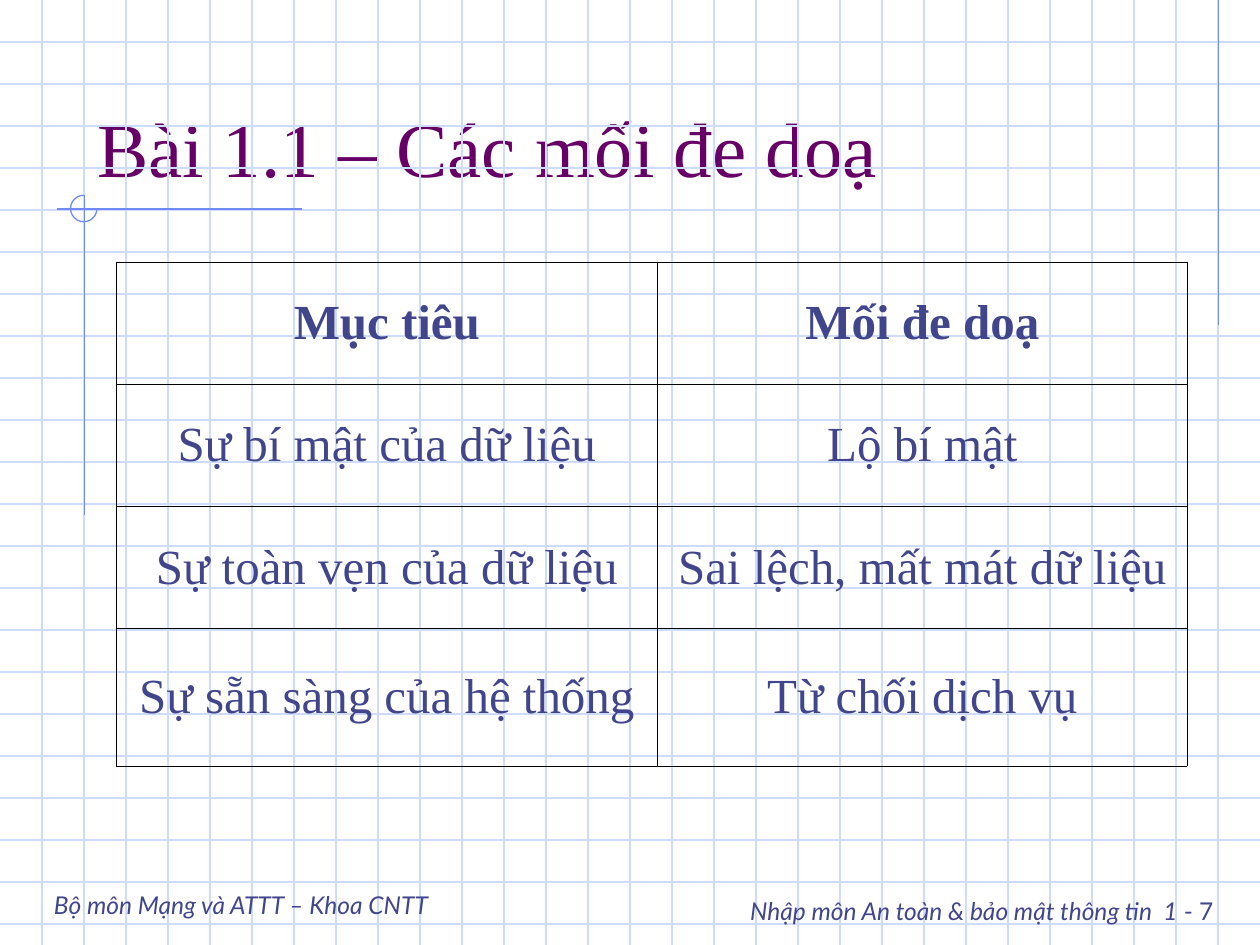
"""Builds the slide on threats to data: grid paper, title, table and footers."""
from lxml import etree
from pptx import Presentation
from pptx.dml.color import RGBColor
from pptx.enum.shapes import MSO_CONNECTOR, MSO_SHAPE
from pptx.enum.text import MSO_ANCHOR, PP_ALIGN
from pptx.oxml.ns import qn
from pptx.util import Inches, Pt

LINE, ARC = MSO_CONNECTOR.STRAIGHT, MSO_SHAPE.ARC
LEFT, MID, RIGHT = PP_ALIGN.LEFT, PP_ALIGN.CENTER, PP_ALIGN.RIGHT
TOP, CENTRE, BASE = MSO_ANCHOR.TOP, MSO_ANCHOR.MIDDLE, MSO_ANCHOR.BOTTOM
PALE = RGBColor(0xCF, 0xDB, 0xFD)
BLUE = RGBColor(0x6F, 0x89, 0xF7)
NAVY = RGBColor(0x40, 0x45, 0x8C)
PLUM = RGBColor(0x66, 0x00, 0x66)
BLACK = RGBColor(0, 0, 0)
HEAD = {"name": "Times New Roman", "size": Pt(44), "bold": False}
CELL = {"name": "Times New Roman", "size": Pt(28)}
FOOT = {"name": "Lato", "size": Pt(14), "italic": True}


def rule(x1, y1, x2, y2, hue):
    ends = [Inches(v) for v in (x1, y1, x2, y2)]
    line = slide.shapes.add_connector(LINE, *ends)
    line.line.color.rgb = hue
    line.line.width = Pt(0.75)
    etree.SubElement(line._element.spPr, qn("a:effectLst"))


def write(para, text, style, hue):
    run = para.add_run()
    run.text = text
    for key, value in style.items():
        setattr(run.font, key, value)
    run.font.color.rgb = hue


deck = Presentation()
deck.slide_width, deck.slide_height = Inches(10), Inches(7.5)
slide = deck.slides.add_slide(deck.slide_layouts[5])

for i in range(1, 23):
    rule(0, i / 3, 10, i / 3, PALE)
for i in range(1, 30):
    rule(i / 3, 0, i / 3, 7.5, PALE)
for ends in ((9.67, 0, 9.67, 2.58), (2.4, 1.66, 0.45, 1.66), (0.67, 1.55, 0.67, 4.09)):
    rule(*ends, BLUE)

arc = slide.shapes.add_shape(ARC, Inches(0.56), Inches(1.55), Inches(0.21), Inches(0.21))
arc.adjustments[0], arc.adjustments[1] = 0, 162
arc.shadow.inherit = False
arc.fill.background()
arc.line.color.rgb = BLUE
arc.line.width = Pt(0.75)

notes = (
    ((5.33, 6.92, 4.4, 0.5), TOP, RIGHT, (
        ("Nhập môn An toàn & bảo mật thông tin", {}),
        (" ", {"size": Pt(24), "italic": False}),
        ("1", {}),
        (" - 7", {"italic": False}))),
    ((0.33, 6.85, 3.92, 0.5), BASE, LEFT, (("Bộ môn Mạng và ATTT – Khoa CNTT", {}),)),
)
for spot, anchor, align, runs in notes:
    frame = slide.shapes.add_textbox(*[Inches(v) for v in spot]).text_frame
    frame.word_wrap = True
    frame.vertical_anchor = anchor
    para = frame.paragraphs[0]
    para.alignment = align
    for text, extra in runs:
        write(para, text, {**FOOT, **extra}, NAVY)

title = slide.shapes.title
title.left, title.top = Inches(0.67), Inches(0.33)
title.width, title.height = Inches(8.5), Inches(1.25)
title.text_frame.vertical_anchor = BASE
para = title.text_frame.paragraphs[0]
para.alignment = LEFT
write(para, "Bài 1.1 – Các mối đe doạ", HEAD, PLUM)

rows = (
    ("Mục tiêu", "Mối đe doạ"),
    ("Sự bí mật của dữ liệu", "Lộ bí mật"),
    ("Sự toàn vẹn của dữ liệu", "Sai lệch, mất mát dữ liệu"),
    ("Sự sẵn sàng của hệ thống", "Từ chối dịch vụ"),
)
spot = [Inches(v) for v in (0.92, 2.08, 8.5, 4)]
table = slide.shapes.add_table(len(rows), 2, *spot).table
table.first_row = table.horz_banding = False
for col, width in zip(table.columns, (4.3, 4.2)):
    col.width = Inches(width)
for row, height in zip(table.rows, (0.97, 0.97, 0.97, 1.09)):
    row.height = Inches(height)
for r, texts in enumerate(rows):
    for c, text in enumerate(texts):
        cell = table.cell(r, c)
        cell.vertical_anchor = CENTRE
        props = cell._tc.get_or_add_tcPr()
        for side in ("lnL", "lnR", "lnT", "lnB"):
            edge = etree.SubElement(props, qn("a:" + side), w=str(Pt(0.45)))
            fill = etree.SubElement(edge, qn("a:solidFill"))
            etree.SubElement(fill, qn("a:srgbClr"), val=str(BLACK))
        cell.fill.background()
        para = cell.text_frame.paragraphs[0]
        para.alignment = MID
        write(para, text, {**CELL, "bold": r == 0}, NAVY)

deck.save("out.pptx")
